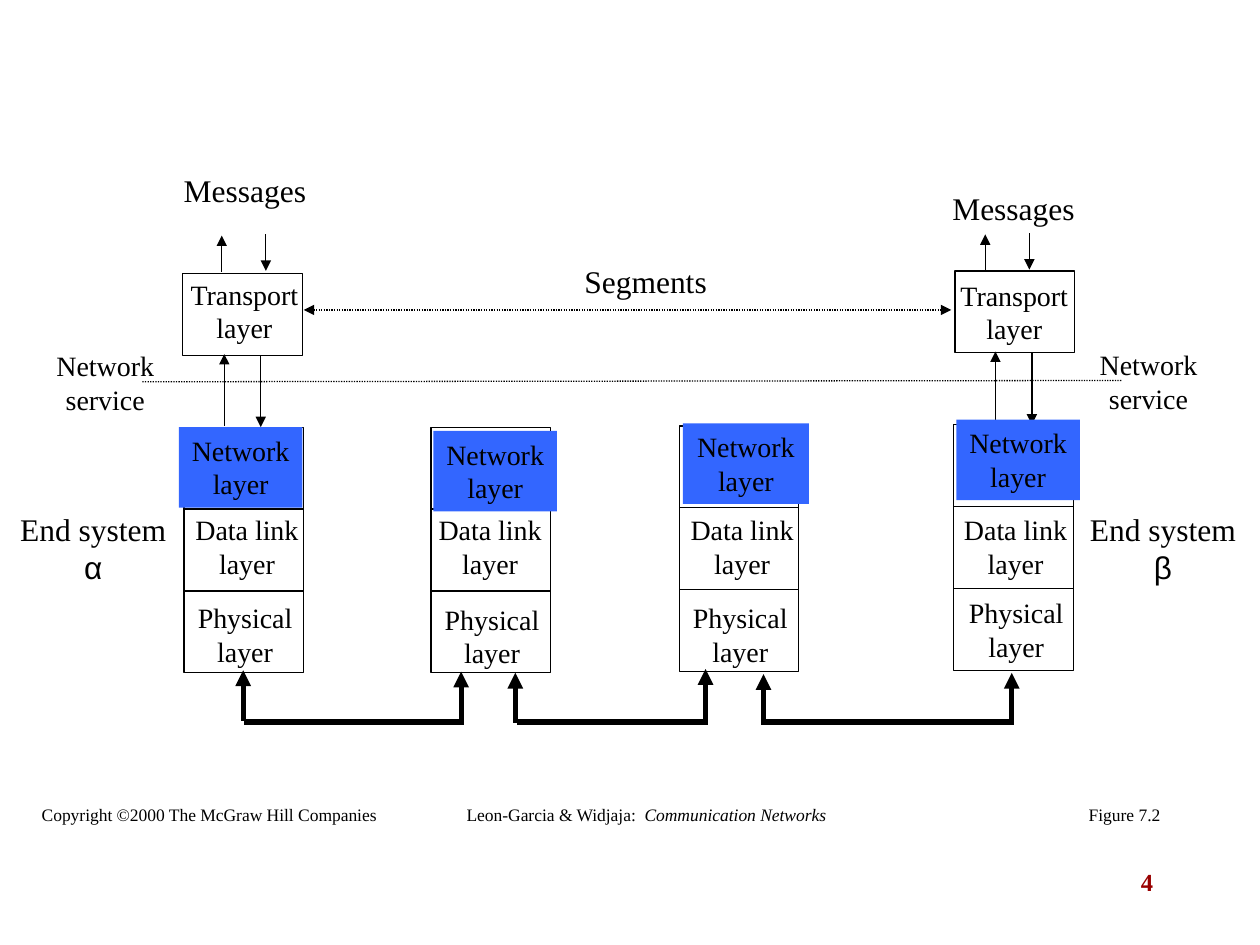
from lxml.etree import SubElement
from pptx import Presentation
from pptx.dml.color import RGBColor
from pptx.enum.dml import MSO_LINE
from pptx.enum.shapes import MSO_CONNECTOR, MSO_SHAPE
from pptx.enum.text import MSO_ANCHOR, MSO_AUTO_SIZE, PP_ALIGN
from pptx.oxml.ns import qn
from pptx.util import Inches, Pt

COLORS = {"ink": "000000", "network": "3366FF", "number": "990000"}
SERIF = "Times New Roman"

presentation = Presentation()
presentation.slide_width = Inches(10)
presentation.slide_height = Inches(7.5)
slide = presentation.slides.add_slide(presentation.slide_layouts[6])


def add_box(left, top, width, height, lines=(), size=16, fill=None, line=None,
            align=PP_ALIGN.CENTER, anchor=MSO_ANCHOR.TOP, color="ink", **formats):
    place = [Inches(value) for value in (left, top, width, height)]
    if fill or line:
        shape = slide.shapes.add_shape(MSO_SHAPE.RECTANGLE, *place)
        shape.shadow.inherit = False
    else:
        shape = slide.shapes.add_textbox(*place)
    if fill:
        shape.fill.solid()
        shape.fill.fore_color.rgb = RGBColor.from_string(COLORS[fill])
        shape.line.fill.background()
    if line:
        shape.fill.background()
        shape.line.color.rgb = RGBColor.from_string(COLORS[line])
        shape.line.width = Pt(0.75)
    frame = shape.text_frame
    frame.word_wrap = False
    frame.vertical_anchor = anchor
    if lines:
        frame.auto_size = MSO_AUTO_SIZE.SHAPE_TO_FIT_TEXT
    for index, text in enumerate(lines):
        paragraph = frame.paragraphs[0] if index == 0 else frame.add_paragraph()
        paragraph.alignment = align
        run = paragraph.add_run()
        run.text = text
        run.font.color.rgb = RGBColor.from_string(COLORS[color])
        font_values = {"name": "Arial" if text in "αβ" else SERIF, "size": Pt(size), **formats}
        for name, value in font_values.items():
            setattr(run.font, name, value)
    return shape


def add_line(x1, y1, x2, y2, width=0.75, ends=(), dash=None):
    connector = slide.shapes.add_connector(
        MSO_CONNECTOR.STRAIGHT, Inches(x1), Inches(y1), Inches(x2), Inches(y2))
    connector.line.color.rgb = RGBColor.from_string(COLORS["ink"])
    connector.line.width = Pt(width)
    if dash:
        connector.line.dash_style = dash
    properties = connector.line._get_or_add_ln()
    for end in ends:
        SubElement(properties, qn(f"a:{end}"), type="triangle")
    SubElement(connector._element.spPr, qn("a:effectLst"))


stacks = [
    (1.46, 3.39, 1.45, 1.47, 4.72),
    (3.42, 3.39, 3.38, 3.43, 4.73),
    (5.39, 3.38, 5.38, 5.4, 4.72),
    (7.57, 3.37, 7.55, 7.59, 4.68),
]
box_width, box_height = 0.95, 0.65
for left, top, link_left, physical_left, physical_top in stacks:
    for row in range(3):
        add_box(left, top + row * box_height, box_width, box_height, line="ink")
    add_box(link_left, 4.02, 1.02, 0.64, ["Data link", "layer"])
    add_box(physical_left, physical_top, 0.95, 0.64, ["Physical", "layer"])

end_systems = [
    (1.45, 2.17, 1.41, 2.15, 1.36, 1.31, 0.06, "α", 0.34, 2.72),
    (7.58, 2.15, 7.52, 2.16, 7.46, 1.45, 8.55, "β", 8.62, 2.71),
]
for (left, top, text_left, text_top, message_left, message_top,
     system_left, letter, service_left, service_top) in end_systems:
    add_box(left, top, box_width, box_height, line="ink")
    add_box(text_left, text_top, 1.06, 0.64, ["Transport", "layer"])
    add_box(message_left, message_top, 1.17, 0.4, ["Messages"], 18, align=PP_ALIGN.LEFT)
    add_box(system_left, 4, 1.36, 0.7, ["End system", letter], 18)
    add_box(service_left, service_top, 0.99, 0.63, ["Network", "service"])
add_box(4.54, 2.03, 1.17, 0.4, ["Segments"], 18, align=PP_ALIGN.LEFT)

message_arrows = [(1.76, 1.87, 2.11, 1.86), (7.82, 1.86, 8.17, 1.85)]
for up_x, up_y, down_x, down_y in message_arrows:
    add_line(up_x, up_y, up_x, up_y + 0.29, ends=["headEnd"])
    add_line(down_x, down_y, down_x, down_y + 0.29, ends=["tailEnd"])
service_arrows = [(1.78, 2.81), (7.9, 2.79)]
for x, y in service_arrows:
    add_line(x, y, x, y + 0.57, ends=["headEnd"])
    add_line(x + 0.29, y + 0.01, x + 0.29, y + 0.58, ends=["tailEnd"])

add_line(2.41, 2.46, 7.55, 2.46, ends=["headEnd", "tailEnd"], dash=MSO_LINE.ROUND_DOT)
add_line(1.13, 3.03, 8.9, 3.02, dash=MSO_LINE.ROUND_DOT)

links = [(1.93, 5.32, 3.66, 5.33), (4.09, 5.34, 5.6, 5.31), (6.06, 5.35, 8.03, 5.34)]
for start, start_top, end, end_top in links:
    add_line(start, start_top, start, start_top + 0.4, 3, ["headEnd"])
    add_line(end, end_top, end, end_top + 0.4, 3, ["headEnd"])
    add_line(start + 0.01, 5.73, end + 0.02, 5.73, 3)

network_boxes = [(1.42, 3.39, 0.98), (3.44, 3.42, 0.98), (5.42, 3.36, 1), (7.59, 3.33, 0.98)]
for left, top, width in network_boxes:
    add_box(left, top, width, 0.64, ["Network", "layer"], fill="network")

footers = [
    (0.23, 2.86, "Copyright ©2000 The McGraw Hill Companies"),
    (3.6, 3.06, "Leon-Garcia & Widjaja:  "),
    (8.54, 0.77, "Figure 7.2"),
]
for left, width, text in footers:
    footer = add_box(left, 6.33, width, 0.27, [text], 10, anchor=MSO_ANCHOR.MIDDLE)
    if text.startswith("Leon"):
        title = footer.text_frame.paragraphs[0].add_run()
        title.text = "Communication Networks"
        title.font.color.rgb = RGBColor.from_string(COLORS["ink"])
        for name, value in {"name": SERIF, "size": Pt(10), "italic": True}.items():
            setattr(title.font, name, value)

number = add_box(7.17, 6.83, 2.08, 0.5, ["4"], 14, align=PP_ALIGN.RIGHT, color="number", bold=True)
number.text_frame.auto_size = MSO_AUTO_SIZE.NONE
number.text_frame.word_wrap = True

presentation.save("out.pptx")
